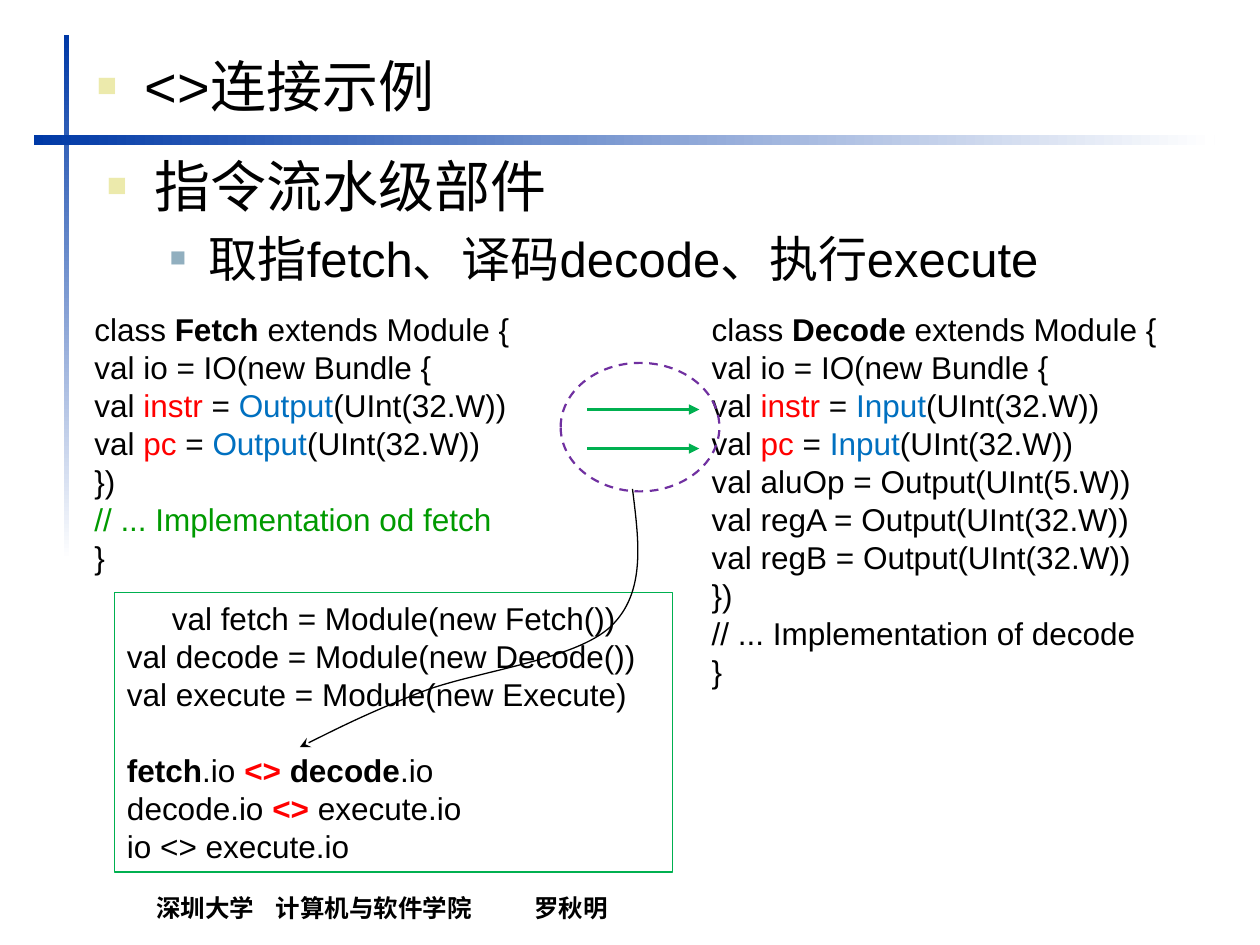
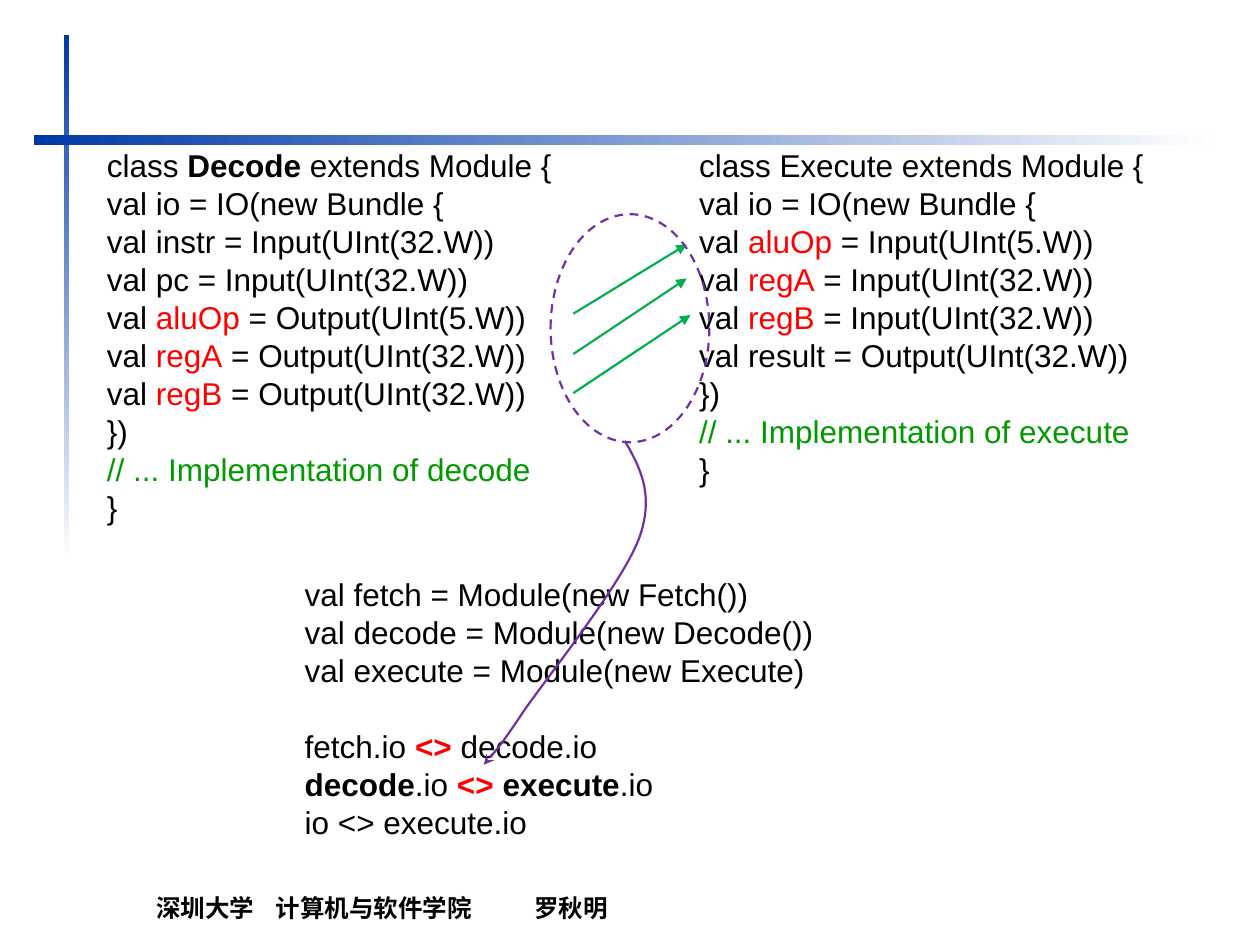
from lxml import etree
from pptx import Presentation
from pptx.dml.color import RGBColor
from pptx.enum.dml import MSO_LINE
from pptx.enum.shapes import MSO_CONNECTOR, MSO_SHAPE
from pptx.enum.text import MSO_ANCHOR
from pptx.oxml.ns import qn
from pptx.util import Inches, Pt

RECT, OVAL = MSO_SHAPE.RECTANGLE, MSO_SHAPE.OVAL
STRAIGHT = MSO_CONNECTOR.STRAIGHT
TOP, BOTTOM = MSO_ANCHOR.TOP, MSO_ANCHOR.BOTTOM
DASH = MSO_LINE.DASH

COLORS = {
    "text": "000000", "blue_band": "0039A6", "white": "FFFFFF",
    "red": "FF0000", "port": "0070C0", "comment": "009A00",
    "green": "00B050", "purple": "7030A0",
    "bullet_1": "ECEAAC", "bullet_2": "91AFBF",
}
FONT = "Arial"
# The slide is a grid of 100 columns by 75 rows of square cells
WIDTH, HEIGHT = Inches(10), Inches(7.5)
CELL = WIDTH / 100
CODE_PITCH = 21.7

# Marked code runs: |key:text| takes the format of its key
STYLES = {
    "b": {"bold": True},
    "r": {"color": "red"},
    "p": {"color": "port"},
    "c": {"color": "comment"},
    "x": {"color": "red", "bold": True},
}
INSTANCES = [
    "val fetch = Module(new Fetch())",
    "val decode = Module(new Decode())",
    "val execute = Module(new Execute)",
]


def rgb(name):
    return RGBColor.from_string(COLORS[name])


def cells(*values):
    return [round(v * CELL) for v in values]


def add_xml(parent, tag, **attrs):
    return etree.SubElement(parent, qn(tag), attrs)


# ---- text ----
def add_run(p, text, size, color="text", bold=False):
    r = p.add_run()
    r.text = text
    for key, value in {"name": FONT, "size": Pt(size), "bold": bold}.items():
        setattr(r.font, key, value)
    r.font.color.rgb = rgb(color)


def set_frame(sp, anchor=TOP):
    tf = sp.text_frame
    for key, value in {"word_wrap": True, "vertical_anchor": anchor}.items():
        setattr(tf, key, value)
    return tf


def next_paragraph(tf, i):
    return tf.add_paragraph() if i else tf.paragraphs[0]


def add_bullets(s, box, items):
    """items: (text, size, left margin, hanging indent, bullet colour, bullet %)"""
    tf = set_frame(s.shapes.add_textbox(*cells(*box)))
    for i, (text, size, margin, hang, color, percent) in enumerate(items):
        p = next_paragraph(tf, i)
        pPr = p._p.get_or_add_pPr()
        pPr.set("marL", str(Inches(margin)))
        pPr.set("indent", str(-Inches(hang)))
        add_xml(add_xml(pPr, "a:buClr"), "a:srgbClr", val=COLORS[color])
        add_xml(pPr, "a:buSzPct", val=str(percent * 1000))
        add_xml(pPr, "a:buFont", typeface=FONT)
        add_xml(pPr, "a:buChar", char="■")
        if i:
            p.space_before = Pt(size * 0.2)
        add_run(p, text, size)


def fill_code(sp, *blocks):
    """Write blocks of code lines, one empty line's height between blocks."""
    tf = set_frame(sp)
    lines = [(line, b and not j) for b, block in enumerate(blocks)
             for j, line in enumerate(block)]
    for i, (line, opens_block) in enumerate(lines):
        p = next_paragraph(tf, i)
        p.line_spacing = Pt(CODE_PITCH)
        if opens_block:
            p.space_before = Pt(CODE_PITCH)
        for j, part in enumerate(line.split("|")):
            key, text = part.split(":", 1) if j % 2 else ("", part)
            if text:
                add_run(p, text, 18, **STYLES.get(key, {}))


def add_code(s, box, *blocks):
    fill_code(s.shapes.add_textbox(*cells(*box)), *blocks)


def module_code(name, ports, note):
    return [f"class {name} extends Module {{", "val io = IO(new Bundle {",
            *(f"val {port}" for port in ports), "})", note, "}"]


# ---- shapes ----
def add_outline(s, kind, box, color, width, dash=None):
    sp = s.shapes.add_shape(kind, *cells(*box))
    sp.shadow.inherit = False
    sp.fill.background()
    sp.line.color.rgb = rgb(color)
    sp.line.width = Pt(width)
    if dash:
        sp.line.dash_style = dash
    return sp


def add_band(s, box, angle):
    sp = s.shapes.add_shape(RECT, *cells(*box))
    sp.shadow.inherit = False
    sp.line.fill.background()
    sp.fill.gradient()
    sp.fill.gradient_angle = angle
    for stop, color, position in zip(sp.fill.gradient_stops,
                                     ("blue_band", "white"), (0, 1)):
        stop.color.rgb = rgb(color)
        stop.position = position


def end_arrow(line, kind):
    add_xml(line._get_or_add_ln(), "a:tailEnd", type=kind)


def add_arrows(s, arrows):
    for ends in arrows:
        cx = s.shapes.add_connector(STRAIGHT, *cells(*ends))
        cx.line.color.rgb = rgb("green")
        cx.line.width = Pt(1.25)
        end_arrow(cx.line, "triangle")
        add_xml(cx._element.spPr, "a:effectLst")


def add_curve(s, points, color, width):
    """Bezier arrow: a start point, then three points per segment."""
    start, *rest = [cells(*point) for point in points]
    fb = s.shapes.build_freeform(*start)
    fb.add_line_segments(rest, close=False)
    sp = fb.convert_to_shape()
    # Join each three straight steps into one cubic segment
    outline = next(sp._element.iter(qn("a:path")))
    steps = outline.findall(qn("a:lnTo"))
    for i in range(0, len(steps), 3):
        curve = add_xml(outline, "a:cubicBezTo")
        for step in steps[i:i + 3]:
            curve.append(step[0])
            outline.remove(step)
    sp.shadow.inherit = False
    sp.fill.background()
    sp.line.color.rgb = rgb(color)
    sp.line.width = Pt(width)
    end_arrow(sp.line, "stealth")


# ---- shared frame ----
def add_footer(s):
    tf = set_frame(s.shapes.add_textbox(*cells(11.4, 69.8, 88, 3.9)), BOTTOM)
    p = tf.paragraphs[0]
    tabs = add_xml(p._p.get_or_add_pPr(), "a:tabLst")
    for stop in (0.95, 3):
        add_xml(tabs, "a:tab", pos=str(Inches(stop)), algn="l")
    add_run(p, "深圳大学\t计算机与软件学院\t罗秋明", 14, bold=True)


def new_slide(prs):
    s = prs.slides.add_slide(prs.slide_layouts[6])
    add_band(s, (5.1, 2.8, 0.4, 41.7), 270)
    add_band(s, (2.7, 10.7, 93.7, 0.8), 0)
    add_footer(s)
    return s


# ---- slides ----
def fetch_to_decode(prs):
    s = new_slide(prs)
    level_1 = (32, 0.38, 0.38, "bullet_1", 60)
    level_2 = (28, 0.81, 0.31, "bullet_2", 55)
    add_bullets(s, (6.7, 3.6, 56.7, 7.1), [("<>连接示例", *level_1)])
    add_bullets(s, (7.5, 11.5, 90.5, 15), [
        ("指令流水级部件", *level_1),
        ("取指fetch、译码decode、执行execute", *level_2),
    ])

    def linked(way):
        return [f"|r:instr| = |p:{way}|(UInt(32.W))",
                f"|r:pc| = |p:{way}|(UInt(32.W))"]

    results = ["aluOp = Output(UInt(5.W))", "regA = Output(UInt(32.W))",
               "regB = Output(UInt(32.W))"]
    add_code(s, (55.5, 24.1, 40.2, 34.3), module_code(
        "|b:Decode|", linked("Input") + results,
        "// ... Implementation of decode"))
    add_code(s, (6.5, 24.1, 40.2, 22.2), module_code(
        "|b:Fetch|", linked("Output"), "|c:// ... Implementation od fetch|"))
    add_arrows(s, [(46.6, y, 55.5, y) for y in (32.5, 35.6)])

    box = add_outline(s, RECT, (9.1, 47, 44.3, 22.2), "green", 0.75)
    fill_code(box, INSTANCES, [
        "|b:fetch|.io |x:<>| |b:decode|.io",
        "decode.io |x:<>| execute.io",
        "io <> execute.io",
    ])
    add_outline(s, OVAL, (44.5, 28.8, 12.6, 10.2), "purple", 1.25, DASH)
    add_curve(s, [(50.2, 38.8),
                  (50.7, 42.9), (51.3, 47), (48.5, 49.7),
                  (45.7, 52.4), (37.6, 53.3), (33.5, 54.9),
                  (29.4, 56.5), (26.6, 57.9), (23.8, 59.3)], "text", 0.75)


def decode_to_execute(prs):
    s = new_slide(prs)

    def linked(way):
        return [f"|r:{port}| = {way}(UInt({bits}.W))"
                for port, bits in (("aluOp", 5), ("regA", 32), ("regB", 32))]

    add_code(s, (54.5, 11.1, 43.3, 28.3), module_code(
        "Execute", linked("Input") + ["result = Output(UInt(32.W))"],
        "|c:// ... Implementation of execute|"))
    sources = ["instr = Input(UInt(32.W))", "pc = Input(UInt(32.W))"]
    add_code(s, (7.5, 11.1, 42.5, 31.3), module_code(
        "|b:Decode|", sources + linked("Output"),
        "|c:// ... Implementation of decode|"))
    add_arrows(s, [(45.5, 24.9, 54.5, 19.4), (45.5, 28.1, 54.5, 22.1),
                   (45.5, 31.2, 54.8, 25)])

    add_code(s, (23.2, 45.1, 50, 22.2), INSTANCES, [
        "fetch.io |x:<>| decode.io",
        "|b:decode|.io |x:<>| |b:execute|.io",
        "io <> execute.io",
    ])
    add_outline(s, OVAL, (43.7, 17, 12.6, 18.1), "purple", 1.25, DASH)
    add_curve(s, [(49.6, 35),
                  (50.8, 37.1), (52, 39.3), (50.7, 42.8),
                  (49.3, 46.4), (43.7, 53.4), (41.6, 56.4),
                  (39.6, 59.4), (38.4, 60.7), (38.4, 60.7)], "purple", 1.25)


def main():
    prs = Presentation()
    prs.slide_width, prs.slide_height = WIDTH, HEIGHT
    fetch_to_decode(prs)
    decode_to_execute(prs)
    prs.save("out.pptx")


if __name__ == "__main__":
    main()
